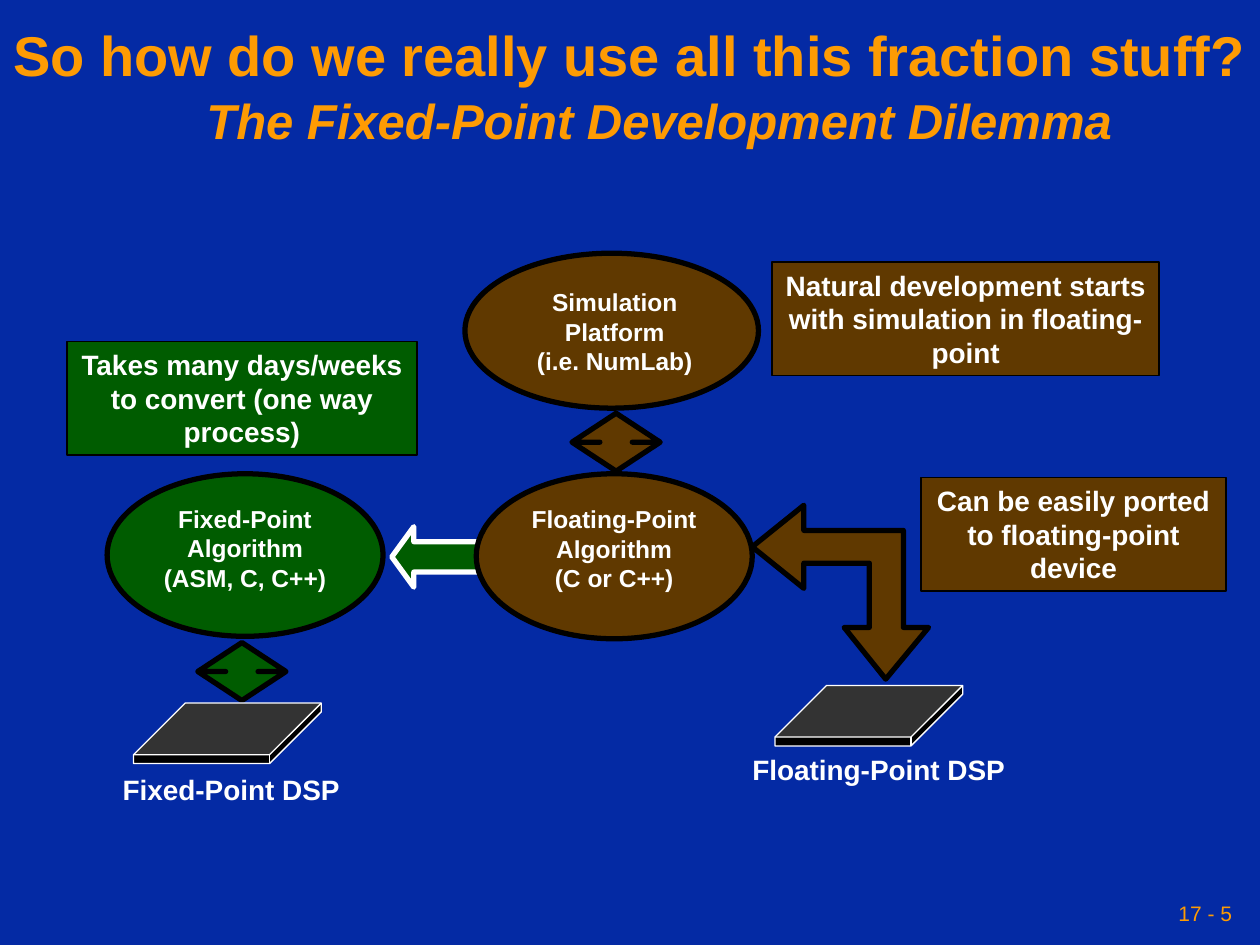
"""Build the fixed-point development dilemma slide on a grid of 100 columns by 75 rows."""
from dataclasses import dataclass

from pptx import Presentation
from pptx.dml.color import RGBColor
from pptx.enum.shapes import MSO_SHAPE as Kind
from pptx.enum.text import MSO_ANCHOR, MSO_AUTO_SIZE, PP_ALIGN
from pptx.util import Inches, Pt

COLORS = {
    "back": "042AA4",
    "gold": "FE9B03",
    "green": "005C00",
    "brown": "603900",
    "white": "FFFFFF",
    "black": "000000",
}
COLS, ROWS = 100, 75
CELL = Inches(0.1)


@dataclass(frozen=True)
class Box:
    """A place on the grid."""
    col: float
    row: float
    wide: float
    high: float

    def place(self) -> list[int]:
        return [round(n * CELL) for n in (self.col, self.row, self.wide, self.high)]


@dataclass(frozen=True)
class Style:
    """The look of a piece of text."""
    size: int
    color: str = "white"
    bold: bool = True
    italic: bool = False
    align: PP_ALIGN = PP_ALIGN.CENTER
    anchor: MSO_ANCHOR = MSO_ANCHOR.TOP
    pad: float = 1
    wrap: bool = True
    lead: float = 1.0


@dataclass(frozen=True)
class Part:
    """A preset shape of the diagram with its optional text."""
    kind: Kind
    box: Box
    fill: str
    line: str = "black"
    width: float = 3
    adjust: tuple[float, ...] = ()
    lines: tuple[str, ...] = ()
    style: Style = Style(14)


NODE = Style(14)
NOTE = Style(16)
LOOSE = Style(14, wrap=False)
TITLE = Style(32, "gold", anchor=MSO_ANCHOR.MIDDLE, pad=0.5, lead=0.9)
SUB = Style(28, "gold", italic=True, align=PP_ALIGN.LEFT, wrap=False, lead=0.8)
PAGE = Style(12, "gold", bold=False, align=PP_ALIGN.RIGHT,
             anchor=MSO_ANCHOR.MIDDLE, pad=0.5, wrap=False)


def tint(name: str) -> RGBColor:
    """Return a named color."""
    return RGBColor.from_string(COLORS[name])


def write(shape, lines: tuple[str, ...], style: Style) -> None:
    """Fill a shape with one run per line."""
    frame = shape.text_frame
    frame.auto_size = MSO_AUTO_SIZE.NONE
    frame.word_wrap = style.wrap
    frame.vertical_anchor = style.anchor
    frame.margin_left = frame.margin_right = round(style.pad * CELL)
    frame.margin_top = frame.margin_bottom = CELL // 2
    for i, text in enumerate(lines):
        para = frame.add_paragraph() if i else frame.paragraphs[0]
        para.alignment = style.align
        para.line_spacing = style.lead
        para.space_before = Pt(0)
        run = para.add_run()
        run.text = text
        font = run.font
        font.name, font.size = "Arial", Pt(style.size)
        font.bold, font.italic = style.bold, style.italic
        font.color.rgb = tint(style.color)


def paint(shape, fill: str, line: str, width: float) -> None:
    """Set fill and outline and drop the shadow."""
    shape.shadow.inherit = False
    shape.fill.solid()
    shape.fill.fore_color.rgb = tint(fill)
    shape.line.color.rgb = tint(line)
    shape.line.width = Pt(width)


def label(slide, box: Box, lines: tuple[str, ...], style: Style) -> None:
    """Add a text box."""
    write(slide.shapes.add_textbox(*box.place()), lines, style)


def draw(slide, part: Part) -> None:
    """Add a preset shape."""
    shape = slide.shapes.add_shape(part.kind, *part.box.place())
    for i, value in enumerate(part.adjust):
        shape.adjustments[i] = value
    paint(shape, part.fill, part.line, part.width)
    if part.lines:
        write(shape, part.lines, part.style)


def note(box: Box, fill: str, text: str) -> Part:
    """Describe a remark in a thin frame."""
    return Part(Kind.RECTANGLE, box, fill, width=1, lines=(text,), style=NOTE)


def node(box: Box, fill: str, *lines: str) -> Part:
    """Describe an oval step."""
    return Part(Kind.OVAL, box, fill, lines=lines, style=NODE)


def link(col: float, row: float, fill: str) -> Part:
    """Describe a two-way arrow."""
    return Part(Kind.UP_DOWN_ARROW, Box(col, row, 7, 4.6), fill, adjust=(0.5, 0.367))


def chip(slide, col: float, row: float, name: Box, text: str) -> None:
    """Draw a flat chip and its name."""
    draw(slide, Part(Kind.CUBE, Box(col, row, 14.9, 4.8), "black", "white", 0.75, (0.854,)))
    label(slide, name, (text,), NOTE)


def elbow(slide) -> None:
    """Draw the bent arrow between the floating-point step and its chip."""
    left, top, tip = 59.7, 40.1, 53.9
    neck, shaft, inner, outer = 63.8, 42.1, 69, 71.7
    base = 49.8
    points = [(70.3, tip), (67, base), (inner, base), (inner, 44.7), (neck, 44.7),
              (neck, 46.7), (left, 43.4), (neck, top), (neck, shaft), (outer, shaft),
              (outer, base), (73.7, base)]
    dots = [(round(x * CELL), round(y * CELL)) for x, y in points]
    path = slide.shapes.build_freeform(*dots[0])
    path.add_line_segments(dots[1:], close=True)
    paint(path.convert_to_shape(), "brown", "black", 3)


def main() -> None:
    """Build and save the slide."""
    deck = Presentation()
    deck.slide_width, deck.slide_height = COLS * CELL, ROWS * CELL
    slide = deck.slides.add_slide(deck.slide_layouts[5])
    slide.background.fill.solid()
    slide.background.fill.fore_color.rgb = tint("back")

    title = slide.shapes.title
    title.left, title.top, title.width, title.height = Box(0, 1.3, COLS, 6.7).place()
    write(title, ("So how do we really use all this fraction stuff?",), TITLE)
    label(slide, Box(15.4, 7.6, 73.8, 4.8), ("The Fixed-Point Development Dilemma",), SUB)

    draw(slide, Part(Kind.LEFT_ARROW, Box(31.1, 41.8, 7, 4.8), "green", "white",
                     adjust=(0.5, 0.365)))
    draw(slide, note(Box(5.3, 27.1, 27.8, 9), "green",
                     "Takes many days/weeks to convert (one way process)"))
    draw(slide, link(15.7, 51, "green"))
    draw(slide, node(Box(8.5, 37.6, 21.9, 12.9), "green",
                     "Fixed-Point Algorithm", "(ASM, C, C++)"))
    chip(slide, 10.6, 55.8, Box(7.2, 60.8, 22.3, 3.7), "Fixed-Point DSP")

    elbow(slide)
    draw(slide, note(Box(73.1, 37.9, 24.2, 9), "brown",
                     "Can be easily ported to floating-point device"))
    chip(slide, 61.5, 54.4, Box(58.6, 59.2, 22.3, 3.7), "Floating-Point DSP")

    draw(slide, node(Box(37.8, 37.6, 21.9, 13.1), "brown",
                     "Floating-Point", "Algorithm", "(C or C++)"))
    draw(slide, link(45.4, 32.8, "brown"))
    draw(slide, note(Box(61.3, 20.8, 30.7, 9), "brown",
                     "Natural development starts with simulation in floating-point"))
    draw(slide, node(Box(36.9, 20.1, 23.3, 12.3), "brown"))
    label(slide, Box(42.1, 22.3, 13.4, 8),
          ("Simulation", "Platform", "(i.e. NumLab)"), LOOSE)
    label(slide, Box(68.3, 70.8, 30, 3.3), ("17 - 5",), PAGE)
    deck.save("out.pptx")


if __name__ == "__main__":
    main()
